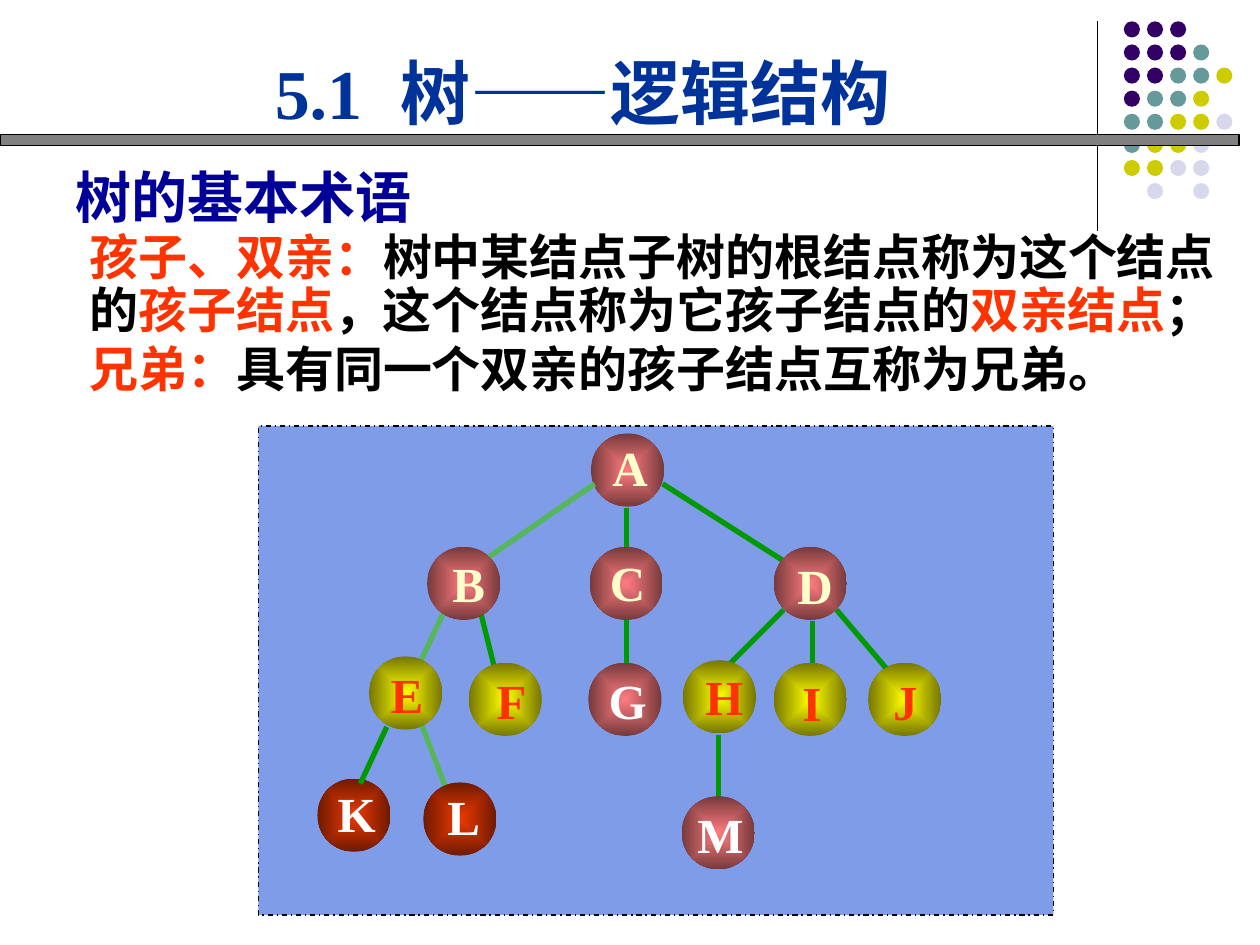
from lxml.etree import SubElement
from pptx import Presentation
from pptx.dml.color import RGBColor
from pptx.enum.dml import MSO_LINE
from pptx.enum.shapes import MSO_CONNECTOR as CONN, MSO_SHAPE as SHAPE
from pptx.enum.text import MSO_ANCHOR as ANCHOR, MSO_AUTO_SIZE as AUTO, PP_ALIGN as ALIGN
from pptx.oxml.ns import qn
from pptx.util import Pt

# Content
TITLE = "5.1\t树——逻辑结构"
HEADING = "树的基本术语"
RED, BLACK, GREEN, PALE_GREEN = "FF3300", "000000", "009900", "55B75A"
TERMS = [
    [("孩子、双亲：", RED), ("树中某结点子树的根结点称为这个结点的", BLACK),
     ("孩子结点", RED), ("，这个结点称为它孩子结点的", BLACK),
     ("双亲结点", RED), ("；", BLACK)],
    [("兄弟：", RED), ("具有同一个双亲的孩子结点互称为兄弟。", BLACK)],
]
DOT_COLORS = {"p": "330066", "t": "669999", "y": "CCCC00", "l": "D8D8EC"}
DOT_ROWS = ["ppp", "pppt", "pptty", "ptty", "ttyyl", "tyyl", "yyll", " l l"]

# Node styles: gradient centre, gradient edge, label colour
STYLES = {
    "inner": ("FF7C80", "76393B", "FFFFCC"),
    "plain": ("FF7C80", "76393B", "FFFFFF"),
    "child": ("FFFF00", "767600", RED),
    "leaf": ("EE3900", "6E1A00", "FFFFFF"),
}
# Name, style, node centre, label offset from that centre
NODES = [
    ("A", "inner", 358.6, 268.6, 1.4, -1.8),
    ("B", "inner", 265, 333.4, 2.8, -0.4),
    ("C", "inner", 357.8, 333.4, 0.8, -1.1),
    ("D", "inner", 463, 333.4, 2.8, 1),
    ("G", "plain", 357.1, 399.6, 1.5, 0.4),
    ("F", "child", 288.7, 399.6, 3.6, 0.4),
    ("E", "child", 231.8, 396, 0.8, 0.4),
    ("M", "plain", 410.4, 475.9, 1.4, 0.4),
    ("I", "child", 463, 399.6, 1, 1.8),
    ("J", "child", 517, 399.6, 0.3, 1.1),
    ("K", "leaf", 202.3, 465.8, 1.5, -1),
    ("L", "leaf", 262.8, 468, 2.2, -1.8),
    ("H", "child", 411.1, 398.2, 2.9, -0.4),
]
EDGES = [
    (478.1, 348.5, 514.1, 391, GREEN),       # D-J
    (447.8, 348.5, 411.8, 384.5, GREEN),     # D-H
    (464.4, 355, 464.4, 384.5, GREEN),       # D-I
    (410.4, 419.8, 410.4, 455.8, GREEN),     # H-M
    (378.7, 276.5, 454.3, 324.7, GREEN),     # A-D
    (339.8, 276.5, 279.4, 318.2, PALE_GREEN),  # A-B
    (357.8, 290.2, 357.8, 420.5, GREEN),     # A-C-G
    (274.3, 348.5, 285.1, 391.7, GREEN),     # B-F
    (241.2, 414.7, 254.9, 450.7, PALE_GREEN),  # E-L
    (254.2, 348.5, 239, 380.9, PALE_GREEN),  # B-E
]
EDGE_EK = (221, 415.4, 205.9, 447.8, GREEN)
NODE_SIZE, LABEL_W, LABEL_H = 41.8, 36, 41
DOT_SIZE, DOT_STEP, DOT_X, DOT_Y = 9.2, 13.2, 642.2, 12.2


def rgb(hex_color):
    return RGBColor.from_string(hex_color)


def add_shape(kind, x, y, w, h, fill=None, line=None):
    sp = s.shapes.add_shape(kind, Pt(x), Pt(y), Pt(w), Pt(h))
    sp.shadow.inherit = False
    if fill:
        sp.fill.solid()
        sp.fill.fore_color.rgb = rgb(fill)
    if line:
        sp.line.color.rgb = rgb(line)
        sp.line.width = Pt(0.75)
    else:
        sp.line.fill.background()
    return sp


def add_line(x1, y1, x2, y2, color, width=3):
    cn = s.shapes.add_connector(CONN.STRAIGHT, Pt(x1), Pt(y1), Pt(x2), Pt(y2))
    cn.line.color.rgb = rgb(color)
    cn.line.width = Pt(width)
    SubElement(cn._element.spPr, qn("a:effectLst"))


def place(sp, x, y, w, h):
    sp.left, sp.top, sp.width, sp.height = Pt(x), Pt(y), Pt(w), Pt(h)


def write(sp, paragraphs, font, size, east=None, para={}, tab=None, **frame):
    tf = sp.text_frame
    for key, value in {"word_wrap": True, "auto_size": AUTO.NONE,
                       "vertical_anchor": ANCHOR.TOP, **frame}.items():
        setattr(tf, key, value)
    for i, runs in enumerate(paragraphs):
        p = tf.add_paragraph() if i else tf.paragraphs[0]
        pPr = p._p.get_or_add_pPr()
        pPr.set("marL", "0")
        pPr.set("indent", "0")
        SubElement(pPr, qn("a:buNone"))
        if tab:
            tabs = SubElement(pPr, qn("a:tabLst"))
            SubElement(tabs, qn("a:tab"), {"pos": str(Pt(tab)), "algn": "l"})
        for key, value in {"space_before": Pt(3.5 if i else 0), **para}.items():
            setattr(p, key, value)
        for text, color in runs:
            r = p.add_run()
            r.text = text
            for key, value in {"name": font, "size": Pt(size), "bold": True}.items():
                setattr(r.font, key, value)
            r.font.color.rgb = rgb(color)
            if east:
                SubElement(r._r.get_or_add_rPr(), qn("a:ea")).set("typeface", east)


def add_node(name, style, x, y, dx, dy):
    half = NODE_SIZE / 2
    sp = add_shape(SHAPE.OVAL, x - half, y - half, NODE_SIZE, NODE_SIZE)
    sp.fill.gradient()
    for stop, color in zip(sp.fill.gradient_stops, STYLES[style]):
        stop.color.rgb = rgb(color)
    # Spread the gradient from the centre outwards
    grad = sp._element.spPr.find(qn("a:gradFill"))
    grad.remove(grad.find(qn("a:lin")))
    centre = SubElement(SubElement(grad, qn("a:path"), {"path": "rect"}), qn("a:fillToRect"))
    for side in "ltrb":
        centre.set(side, "50000")


def add_label(name, style, x, y, dx, dy):
    tb = s.shapes.add_textbox(Pt(x + dx - LABEL_W / 2), Pt(y + dy - LABEL_H / 2),
                              Pt(LABEL_W), Pt(LABEL_H))
    write(tb, [[(name, STYLES[style][2])]], "Times New Roman", 28,
          para={"alignment": ALIGN.CENTER}, word_wrap=False, vertical_anchor=ANCHOR.MIDDLE)


prs = Presentation()
prs.slide_width, prs.slide_height = Pt(720), Pt(540)
s = prs.slides.add_slide(prs.slide_layouts[1])

# Corner decoration and title bar
add_line(627.1, 12.2, 627.1, 131.8, BLACK, 0.75)
for row, dots in enumerate(DOT_ROWS):
    for col, key in enumerate(dots):
        if key in DOT_COLORS:
            add_shape(SHAPE.OVAL, DOT_X + col * DOT_STEP, DOT_Y + row * DOT_STEP,
                      DOT_SIZE, DOT_SIZE, DOT_COLORS[key])
add_shape(SHAPE.RECTANGLE, 0, 77, 708, 6, "808080", BLACK)

# Title, heading and definitions
title, body = s.shapes.title, s.placeholders[1]
place(title, 149.8, 24.5, 391.7, 55.4)
write(title, [[(TITLE, "003399")]], "Times New Roman", 40,
      para={"alignment": ALIGN.LEFT}, tab=88)
place(body, 43.9, 129.6, 668.2, 101.5)
write(body, TERMS, "Noto Sans CJK SC", 28, "Noto Sans CJK SC", {"line_spacing": 0.9})
heading = s.shapes.add_textbox(Pt(36), Pt(89.3), Pt(311.8), Pt(46))
write(heading, [[(HEADING, "000099")]], "Arial", 32)

# Tree diagram: the root lies under the edges, the other nodes above them
panel = add_shape(SHAPE.RECTANGLE, 147.6, 243.4, 454.3, 279.4, "7E9CE8", BLACK)
panel.line.dash_style = MSO_LINE.DASH_DOT
root, *others = NODES
add_node(*root)
for edge in EDGES:
    add_line(*edge)
for node in others:
    add_node(*node)
for node in NODES:
    add_label(*node)
add_line(*EDGE_EK)

prs.save("out.pptx")
